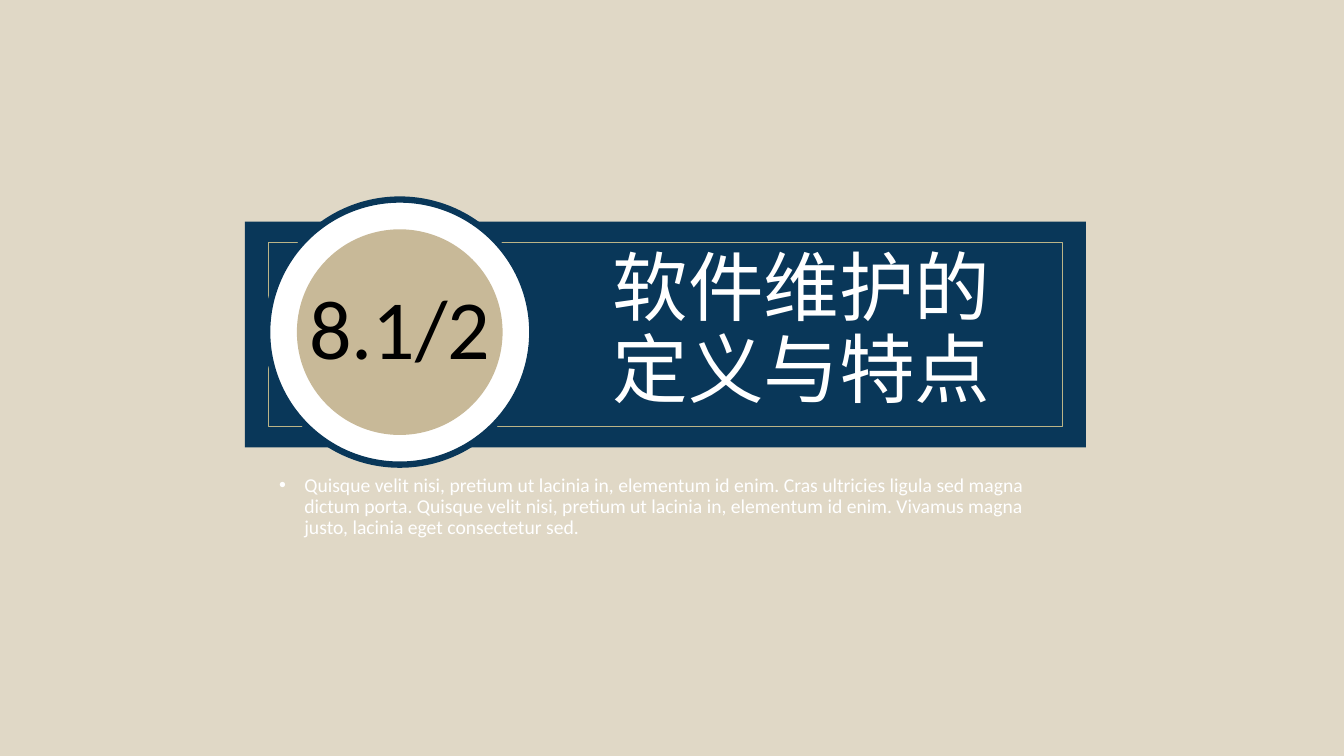
from typing import NamedTuple

from lxml.etree import SubElement
from pptx import Presentation
from pptx.dml.color import RGBColor
from pptx.enum.shapes import MSO_SHAPE
from pptx.enum.text import MSO_ANCHOR, MSO_AUTO_SIZE, PP_ALIGN
from pptx.oxml.ns import qn
from pptx.util import Inches, Pt

SAND = RGBColor(0xE0, 0xD8, 0xC6)
NAVY = RGBColor(0x09, 0x37, 0x59)
GOLD = RGBColor(0xBB, 0xB4, 0x87)
TAN = RGBColor(0xC8, 0xB9, 0x98)
WHITE = RGBColor(0xFF, 0xFF, 0xFF)
BLACK = RGBColor(0, 0, 0)
CELL = Inches(0.1)
FONT = "Calibri"


class Box(NamedTuple):
    left: float
    top: float
    width: float
    height: float

    def inset(self, across, down):
        return Box(self.left + across, self.top + down,
                   self.width - 2 * across, self.height - 2 * down)

    def lengths(self):
        return [round(cells * CELL) for cells in self]


def add_panel(group, kind, box, fill=None, line=None, line_width=0):
    panel = group.shapes.add_shape(kind, *box.lengths())
    panel.shadow.inherit = False
    if fill is None:
        panel.fill.background()
    else:
        panel.fill.solid()
        panel.fill.fore_color.rgb = fill
    if line is None:
        panel.line.fill.background()
    else:
        panel.line.color.rgb = line
        panel.line.width = Pt(line_width)


def write_text(shape, text, size, color, alignment, anchor, bulleted=False):
    frame = shape.text_frame
    frame.word_wrap = True
    frame.auto_size = MSO_AUTO_SIZE.NONE
    frame.vertical_anchor = anchor
    frame.text = text
    paragraph = frame.paragraphs[0]
    paragraph.alignment = alignment
    paragraph.line_spacing = 0.9
    if bulleted:
        properties = paragraph._p.get_or_add_pPr()
        properties.set("marL", str(Inches(0.25)))
        properties.set("indent", str(-Inches(0.25)))
        SubElement(properties, qn("a:buFont"), typeface="Arial")
        SubElement(properties, qn("a:buChar"), char="•")
    paragraph.font.name = FONT
    paragraph.font.size = Pt(size)
    paragraph.font.color.rgb = color


def add_banner(page, box):
    group = page.shapes.add_group_shape()
    add_panel(group, MSO_SHAPE.RECTANGLE, box, fill=NAVY)
    add_panel(group, MSO_SHAPE.RECTANGLE, box.inset(2.35, 2.05), line=GOLD, line_width=0.5)


def add_badge(page, box, number):
    group = page.shapes.add_group_shape()
    disc = box.inset(2.95, 2.95)
    add_panel(group, MSO_SHAPE.OVAL, box, fill=WHITE, line=NAVY, line_width=4.5)
    add_panel(group, MSO_SHAPE.OVAL, disc, fill=TAN)
    label = page.shapes.add_textbox(*disc.lengths())
    write_text(label, number, 60, BLACK, PP_ALIGN.CENTER, MSO_ANCHOR.MIDDLE)


def place_title(page, box, text):
    title = page.shapes.title
    title.left, title.top, title.width, title.height = box.lengths()
    write_text(title, text, 54, WHITE, PP_ALIGN.CENTER, MSO_ANCHOR.MIDDLE)
    page.shapes._spTree.append(title._element)


def add_summary(page, box, text):
    summary = page.shapes.add_textbox(*box.lengths())
    write_text(summary, text, 14, WHITE, PP_ALIGN.LEFT, MSO_ANCHOR.TOP, bulleted=True)


def build_section_page(deck):
    page = deck.slides.add_slide(deck.slide_layouts[5])
    page.background.fill.solid()
    page.background.fill.fore_color.rgb = SAND
    banner = Box(24.3, 22, 83.4, 22.4)
    add_banner(page, banner)
    add_badge(page, Box(banner.left + 2.2, banner.top - 2.2, 26.3, 26.3), "8.1/2")
    place_title(page, Box(banner.left + 27.8, banner.top + 4, 54.8, 13.9),
                "软件维护的\v定义与特点")
    add_summary(page, Box(banner.left + 2.4, banner.top + 24.7, 78.7, 16.4),
                "Quisque velit nisi, pretium ut lacinia in, elementum id enim. "
                "Cras ultricies ligula sed magna dictum porta. Quisque velit nisi, "
                "pretium ut lacinia in, elementum id enim. Vivamus magna justo, "
                "lacinia eget consectetur sed.")


def main():
    deck = Presentation()
    deck.slide_width = Inches(13.33)
    deck.slide_height = Inches(7.5)
    build_section_page(deck)
    deck.save("out.pptx")


if __name__ == "__main__":
    main()
